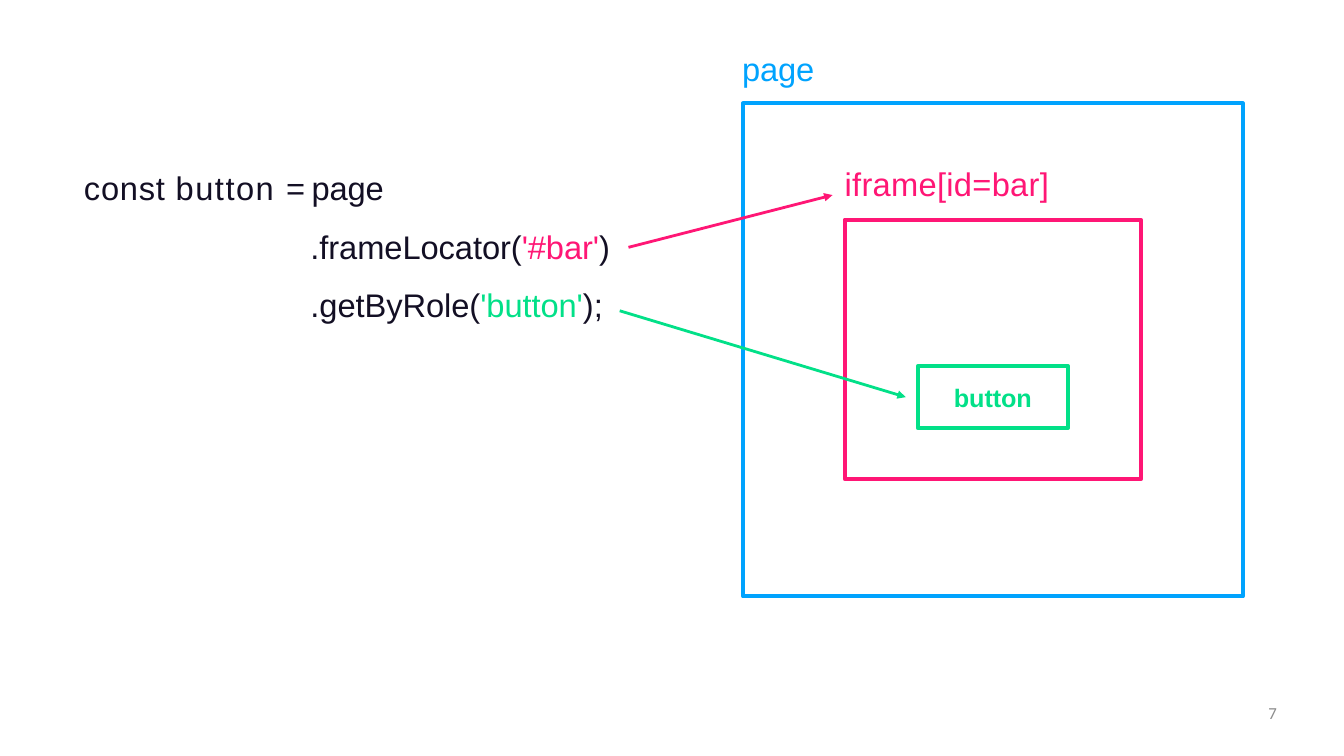
from lxml.etree import SubElement
from pptx import Presentation
from pptx.dml.color import RGBColor
from pptx.enum.shapes import MSO_CONNECTOR as CONN, MSO_SHAPE as SHAPE
from pptx.enum.text import MSO_ANCHOR as ANCHOR, MSO_AUTO_SIZE as FIT, PP_ALIGN as ALIGN
from pptx.oxml.ns import qn
from pptx.util import Pt

BLUE = RGBColor(0x00, 0xA3, 0xFE)
PINK = RGBColor(0xFF, 0x16, 0x75)
GREEN = RGBColor(0x02, 0xE0, 0x88)
INK = RGBColor(0x13, 0x0F, 0x24)
GRAY = RGBColor(0x8C, 0x8C, 0x8C)


class Deck:
    code = {"name": "Arial", "size": Pt(35)}
    label = {"name": "Arial", "size": Pt(27), "bold": True}
    footer = {"name": "Calibri", "size": Pt(18)}

    def __init__(self, width, height):
        self.prs = Presentation()
        self.prs.slide_width, self.prs.slide_height = Pt(width), Pt(height)
        self.s = self.prs.slides.add_slide(self.prs.slide_layouts[5])

    def frame(self, tf, top=0, anchor=ANCHOR.TOP):
        values = {"auto_size": FIT.NONE, "word_wrap": True, "vertical_anchor": anchor,
                  "margin_left": 0, "margin_right": 0, "margin_top": Pt(top), "margin_bottom": 0}
        for key, value in values.items():
            setattr(tf, key, value)

    def line(self, p, runs, style, align=ALIGN.LEFT, indent=0, before=0):
        p.alignment, p.space_before = align, Pt(before)
        p._p.get_or_add_pPr().set("marL", str(Pt(indent)))
        for text, color, spacing in runs:
            r = p.add_run()
            r.text = text
            for key, value in style.items():
                setattr(r.font, key, value)
            r.font.color.rgb = color
            r._r.get_or_add_rPr().set("spc", str(round(spacing * 100)))

    def title(self, box, text, color, spacing):
        sp = self.s.shapes.title
        sp.left, sp.top, sp.width, sp.height = map(Pt, box)
        self.frame(sp.text_frame, 1)
        self.line(sp.text_frame.paragraphs[0], [(text, color, spacing)], self.code, before=1)

    def text(self, box, lines, style, top=0, align=ALIGN.LEFT):
        tf = self.s.shapes.add_textbox(*map(Pt, box)).text_frame
        self.frame(tf, top)
        for i, (indent, before, runs) in enumerate(lines):
            p = tf.add_paragraph() if i else tf.paragraphs[0]
            self.line(p, runs, style, align, indent, before)

    def outline(self, box, color, text=None):
        sp = self.s.shapes.add_shape(SHAPE.RECTANGLE, *map(Pt, box))
        sp.shadow.inherit = False
        sp.fill.background()
        sp.line.color.rgb, sp.line.width = color, Pt(4.5)
        if text:
            self.frame(sp.text_frame, anchor=ANCHOR.MIDDLE)
            self.line(sp.text_frame.paragraphs[0], [(text, color, -0.1)],
                      self.label, ALIGN.CENTER)

    def arrow(self, start, end, color):
        c = self.s.shapes.add_connector(CONN.STRAIGHT, *map(Pt, start + end))
        c.line.color.rgb, c.line.width = color, Pt(3)
        props = c._element.spPr
        SubElement(props.get_or_add_ln(), qn("a:tailEnd"), type="triangle")
        SubElement(props, qn("a:effectLst"))


def main():
    deck = Deck(1440, 810)
    deck.outline((796.2, 110.8, 535.4, 528.2), BLUE)
    deck.outline((905.2, 235.4, 317, 278), PINK)
    deck.title((795, 51, 82, 44), "page", BLUE, -0.2)
    deck.text((904.3, 175, 225.4, 44), [(0.7, 1, [("iframe[id=bar]", PINK, 0.3)])], deck.code, 1)
    deck.outline((983.5, 392.4, 160.6, 66.2), GREEN, "button")
    deck.text((89.3, 157.7, 576, 190.8), [
        (0.7, 21.9, [("const ", INK, 0.8), ("button ", INK, 1.6),
                     ("= ", INK, -2.9), ("page", INK, -0.2)]),
        (243.4, 20.9, [(".frameLocator(", INK, -0.1), ("'#bar'", PINK, -0.1), (")", INK, -0.1)]),
        (243.4, 21.1, [(".getByRole(", INK, -0.1), ("'button'", GREEN, -0.1), (");", INK, -0.1)]),
    ], deck.code, 21.9)
    deck.arrow((673.4, 265), (892, 209), PINK)
    deck.arrow((664, 333), (970.5, 425.5), GREEN)
    deck.text((1036.8, 753, 331.2, 40.5), [(0, 0, [("7", GRAY, 0)])], deck.footer,
              align=ALIGN.RIGHT)
    deck.prs.save("out.pptx")


if __name__ == "__main__":
    main()
